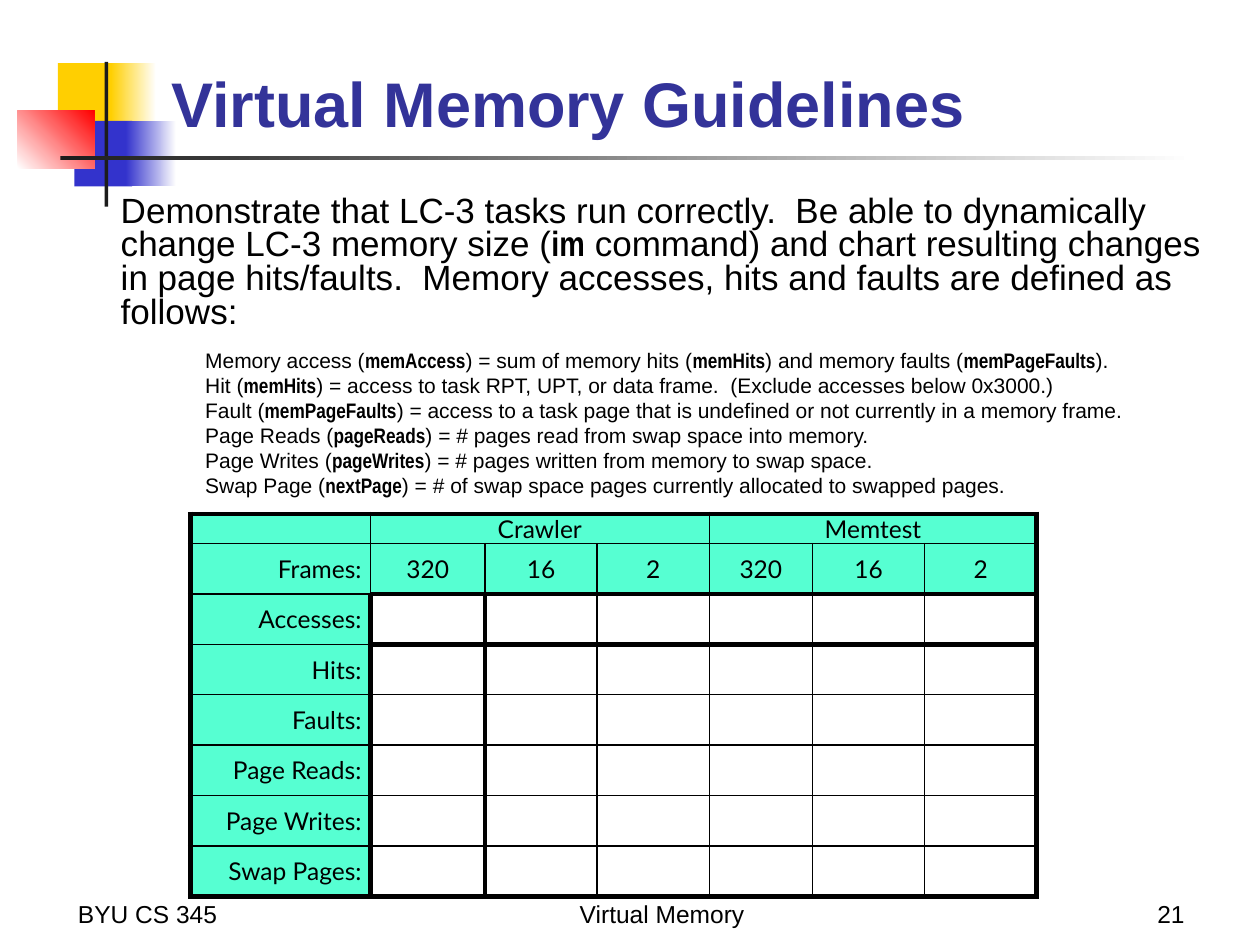
from lxml.etree import SubElement
from pptx import Presentation
from pptx.dml.color import RGBColor
from pptx.enum.shapes import MSO_SHAPE as Shape
from pptx.enum.text import MSO_ANCHOR as Anchor, MSO_AUTO_SIZE as AutoSize, PP_ALIGN as Align
from pptx.oxml.ns import qn
from pptx.util import Inches, Pt

BLACK = RGBColor(0x00, 0x00, 0x00)
WHITE = RGBColor(0xFF, 0xFF, 0xFF)
CHARCOAL = RGBColor(0x1C, 0x1C, 0x1C)
YELLOW = RGBColor(0xFF, 0xCF, 0x01)
BLUE = RGBColor(0x33, 0x33, 0xCC)
RED = RGBColor(0xFF, 0x00, 0x00)
INDIGO = RGBColor(0x33, 0x33, 0x99)
MINT = RGBColor(0x56, 0xFF, 0xD2)

THIN, THICK = 1, 3
TITLE_ONLY = 5


class SlideBuilder:
    """Holds the text style and the slide being built."""

    font = "Arial"
    code_font = "Arial Narrow"
    table_font = "Lato"

    def __init__(self, presentation):
        self.slide = presentation.slides.add_slide(presentation.slide_layouts[TITLE_ONLY])

    def run(self, paragraph, text, size, font=None, bold=False, color=BLACK):
        run = paragraph.add_run()
        run.text = text
        run.font.size = Pt(size)
        run.font.name = font or self.font
        run.font.bold = bold
        run.font.color.rgb = color

    def code_runs(self, paragraph, pieces, size):
        """Every second piece is set in the bold code font."""
        for index, piece in enumerate(pieces):
            code = index % 2 == 1
            self.run(paragraph, piece, size, self.code_font if code else self.font, code)

    def title(self, text, box):
        title = self.slide.shapes.title
        title.left, title.top, title.width, title.height = map(Inches, box)
        frame = title.text_frame
        frame.auto_size = AutoSize.NONE
        frame.vertical_anchor = Anchor.BOTTOM
        frame.paragraphs[0].alignment = Align.LEFT
        self.run(frame.paragraphs[0], text, 36, bold=True, color=INDIGO)
        # Bring the title in front of the decoration
        self.slide.shapes._spTree.append(title._element)

    def bar(self, box, start, end=None, angle=0):
        shape = self.slide.shapes.add_shape(Shape.RECTANGLE, *map(Inches, box))
        shape.shadow.inherit = False
        shape.line.fill.background()
        if end is None:
            shape.fill.solid()
            shape.fill.fore_color.rgb = start
            return
        shape.fill.gradient()
        shape.fill.gradient_angle = angle
        for stop, position, color in zip(shape.fill.gradient_stops, (0, 1), (start, end)):
            stop.position = position
            stop.color.rgb = color

    def text_box(self, box, anchor=Anchor.TOP):
        frame = self.slide.shapes.add_textbox(*map(Inches, box)).text_frame
        frame.word_wrap = True
        frame.vertical_anchor = anchor
        return frame

    def footer(self, text, box, alignment):
        paragraph = self.text_box(box, Anchor.BOTTOM).paragraphs[0]
        paragraph.alignment = alignment
        self.run(paragraph, text, 14)

    def definitions(self, box, intro, items):
        frame = self.text_box(box)
        paragraph = frame.paragraphs[0]
        paragraph.line_spacing = 0.8
        paragraph.space_before = Pt(4.6)
        self.code_runs(paragraph, intro, 20)
        for index, pieces in enumerate(items):
            paragraph = frame.add_paragraph()
            paragraph.line_spacing = 0.8
            paragraph.space_before = Pt(2.8 if index else 12)
            paragraph._p.get_or_add_pPr().set("marL", str(Inches(0.67)))
            self.code_runs(paragraph, pieces, 12)

    def table(self, box, widths, heights):
        frame = self.slide.shapes.add_table(len(heights), len(widths), *map(Inches, box))
        table = frame.table
        table.first_row = table.horz_banding = False
        for column, width in zip(table.columns, widths):
            column.width = Inches(width)
        for row, height in zip(table.rows, heights):
            row.height = Inches(height)
        return table

    def cell(self, cell, text, alignment, fill, borders):
        cell.vertical_anchor = Anchor.MIDDLE
        cell.margin_left = cell.margin_right = Inches(0.07)
        cell.margin_top = cell.margin_bottom = 0
        paragraph = cell.text_frame.paragraphs[0]
        paragraph.alignment = alignment
        if text:
            self.run(paragraph, text, 14, self.table_font)
        else:
            paragraph._p.get_or_add_endParaRPr().set("sz", "1200")
        # Borders come before the fill in the cell properties
        properties = cell._tc.get_or_add_tcPr()
        for side, width in borders.items():
            line = SubElement(properties, qn(f"a:ln{side}"), w=str(Pt(width)))
            solid = SubElement(line, qn("a:solidFill"))
            SubElement(solid, qn("a:srgbClr"), val=str(BLACK))
        if fill is None:
            cell.fill.background()
        else:
            cell.fill.solid()
            cell.fill.fore_color.rgb = fill


def add_results_table(builder):
    labels = ["Frames:", "Accesses:", "Hits:", "Faults:", "Page Reads:", "Page Writes:", "Swap Pages:"]
    programs = {1: "Crawler", 4: "Memtest"}
    frames = ["320", "16", "2"] * 2
    widths = [1.43, 0.91, 0.89, 0.89, 0.82, 0.89, 0.89]
    heights = [0.23] + [0.4] * len(labels)
    last_row, last_column = len(labels), len(frames)
    rows = [[programs.get(column, "") for column in range(last_column + 1)], [labels[0]] + frames]
    rows += [[label] + [""] * last_column for label in labels[1:]]

    def row_line(line, column):
        heavy = line in (0, last_row + 1) or (line in (2, 3) and column > 0)
        return THICK if heavy else THIN

    def column_line(line, row):
        heavy = line in (0, last_column + 1) or (line in (1, 2) and row > 1)
        return THICK if heavy else THIN

    table = builder.table((1.51, 4.08, sum(widths), sum(heights)), widths, heights)
    for start in programs:
        table.cell(0, start).merge(table.cell(0, start + 2))
    for row, texts in enumerate(rows):
        for column, text in enumerate(texts):
            borders = {
                "L": column_line(column, row), "R": column_line(column + 1, row),
                "T": row_line(row, column), "B": row_line(row + 1, column),
            }
            if row == 0 and column in programs:
                borders["R"] = column_line(column + 3, row)
            alignment = Align.CENTER if column else Align.RIGHT
            fill = MINT if row < 2 or column == 0 else None
            builder.cell(table.cell(row, column), text, alignment, fill, borders)


def main():
    presentation = Presentation()
    presentation.slide_width, presentation.slide_height = Inches(10), Inches(7.5)
    builder = SlideBuilder(presentation)

    # Corner decoration and title rule
    builder.bar((0.46, 0.5, 0.48, 0.52), YELLOW)
    builder.bar((0.88, 0.5, 0.36, 0.52), YELLOW, WHITE)
    builder.bar((0.59, 0.96, 0.46, 0.52), BLUE)
    builder.bar((1, 0.96, 0.4, 0.52), BLUE, WHITE)
    builder.bar((0.14, 0.88, 0.61, 0.46), WHITE, RED, 45)
    builder.bar((0.83, 0.49, 0.03, 1.15), CHARCOAL)
    builder.bar((0.48, 1.24, 9, 0.03), CHARCOAL, WHITE)

    builder.title("Virtual Memory Guidelines", (1.26, 0.21, 8.52, 0.95))

    # Footer
    builder.footer("BYU CS 345", (0.52, 6.92, 2.08, 0.5), Align.LEFT)
    builder.footer("Virtual Memory", (3.67, 6.92, 3.17, 0.5), Align.CENTER)
    builder.footer("21", (7.42, 6.92, 2.08, 0.5), Align.RIGHT)

    add_results_table(builder)

    # Task and definitions
    intro = ("Demonstrate that LC-3 tasks run correctly.  Be able to dynamically change LC-3 memory size (", "im",
             " command) and chart resulting changes in page hits/faults.  "
             "Memory accesses, hits and faults are defined as follows:")
    builder.definitions((0.86, 1.51, 8.95, 2.88), intro, [
        ("Memory access (", "memAccess", ") = sum of memory hits (", "memHits",
         ") and memory faults (", "memPageFaults", ")."),
        ("Hit (", "memHits", ") = access to task RPT, UPT, or data frame.  (Exclude accesses below 0x3000.)"),
        ("Fault (", "memPageFaults",
         ") = access to a task page that is undefined or not currently in a memory frame."),
        ("Page Reads (", "pageReads", ") = # pages read from swap space into memory."),
        ("Page Writes (", "pageWrites", ") = # pages written from memory to swap space."),
        ("Swap Page (", "nextPage", ") = # of swap space pages currently allocated to swapped pages."),
    ])

    presentation.save("out.pptx")


if __name__ == "__main__":
    main()
